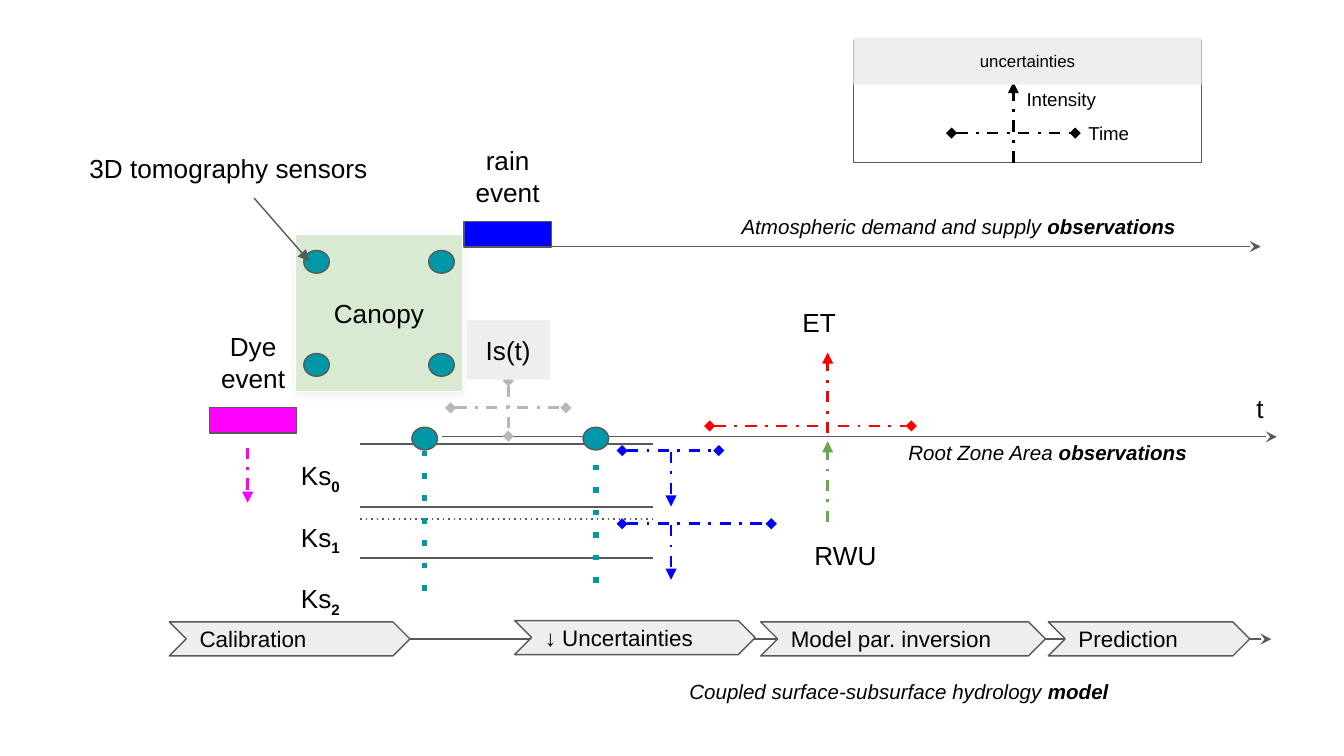
import pptx
import pptx.dml.color
import pptx.enum.shapes
import pptx.enum.text
import pptx.oxml
import pptx.oxml.ns
import pptx.util
from lxml import etree

Pt = pptx.util.Pt
RGB = pptx.dml.color.RGBColor
SHAPE = pptx.enum.shapes.MSO_SHAPE
ALIGN = pptx.enum.text.PP_ALIGN
ANCHOR = pptx.enum.text.MSO_ANCHOR
qn = pptx.oxml.ns.qn

BLACK = RGB(0x00, 0x00, 0x00)
WHITE = RGB(0xFF, 0xFF, 0xFF)
OUTLINE = RGB(0x59, 0x59, 0x59)
PANEL = RGB(0xEE, 0xEE, 0xEE)
STORAGE = RGB(0xB7, 0xB7, 0xB7)
BLUE = RGB(0x00, 0x00, 0xFF)
MAGENTA = RGB(0xFF, 0x00, 0xFF)
RED = RGB(0xFF, 0x00, 0x00)
UPTAKE = RGB(0x6A, 0xA8, 0x4F)
SENSOR = RGB(0x00, 0x97, 0xA7)
LEAF = RGB(0xD9, 0xEA, 0xD3)

SENSOR_W, SENSOR_H = 13.7, 12.2
EVENT_W, EVENT_H = 46.8, 13.7


def write(shape, runs, size, align=ALIGN.LEFT, anchor=ANCHOR.TOP):
    frame = shape.text_frame
    frame.word_wrap = True
    frame.vertical_anchor = anchor
    frame.margin_left = frame.margin_right = Pt(7.2)
    frame.margin_top = frame.margin_bottom = Pt(7.2)
    paragraph = frame.paragraphs[0]
    paragraph.alignment = align
    for words, style in runs:
        run = paragraph.add_run()
        run.text = words
        run.font.name = "Arial"
        run.font.size = Pt(size)
        run.font.color.rgb = BLACK
        run.font.italic = "i" in style
        run.font.bold = "b" in style
        if "sub" in style:
            run.font._element.set("baseline", "-25000")


def label(slide, left, top, width, height, runs, size=14, align=ALIGN.LEFT):
    box = slide.shapes.add_textbox(Pt(left), Pt(top), Pt(width), Pt(height))
    write(box, runs, size, align)


def block(slide, kind, left, top, width, height, fill=None, outline=OUTLINE):
    shape = slide.shapes.add_shape(kind, Pt(left), Pt(top), Pt(width), Pt(height))
    shape.shadow.inherit = False
    if fill is None:
        shape.fill.background()
    else:
        shape.fill.solid()
        shape.fill.fore_color.rgb = fill
    if outline is None:
        shape.line.fill.background()
    else:
        shape.line.color.rgb = outline
        shape.line.width = Pt(0.75)
    return shape


def line(slide, x1, y1, x2, y2, color=OUTLINE, width=0.75, dash=None, head=None, tail=None):
    connector = slide.shapes.add_connector(
        pptx.enum.shapes.MSO_CONNECTOR.STRAIGHT, Pt(x1), Pt(y1), Pt(x2), Pt(y2))
    connector.line.color.rgb = color
    connector.line.width = Pt(width)
    stroke = connector.line._get_or_add_ln()
    for tag, key, value in (("a:prstDash", "val", dash), ("a:headEnd", "type", head),
                            ("a:tailEnd", "type", tail)):
        if value:
            etree.SubElement(stroke, qn(tag)).set(key, value)
    etree.SubElement(connector._element.spPr, qn("a:effectLst"))


def time_range(slide, x1, x2, y, color):
    line(slide, x1, y, x2, y, color, 1.5, "dashDot", "diamond", "diamond")


def flux(slide, x, y1, y2, color):
    line(slide, x, y1, x, y2, color, 1.5, "dashDot", tail="triangle")


def sensor(slide, center_x, center_y):
    block(slide, SHAPE.OVAL, center_x - SENSOR_W / 2, center_y - SENSOR_H / 2,
          SENSOR_W, SENSOR_H, SENSOR)


def timeline(slide, left, top, width, caption_left, caption_top, caption_width, caption):
    line(slide, left, top, left + width, top, tail="stealth")
    topic, subject = caption
    label(slide, left + caption_left, top + caption_top, caption_width, 28,
          [(topic, "i"), (subject, "ib")], 11)


def event(slide, left, top, name, color):
    label(slide, left - 14, top, 74.9, 48.2, [(name, "")], align=ALIGN.CENTER)
    block(slide, SHAPE.RECTANGLE, left, top + 48.2, EVENT_W, EVENT_H, color)


def soil(slide, left, top, width):
    for depth in (0, 33.8, 61.2):
        line(slide, left, top + depth, left + width, top + depth)
    line(slide, left, top + 40.3, left + width, top + 40.3, dash="dot")
    for layer in range(3):
        label(slide, left - 38.9, top + 1.3 + layer * 32.9, 44.6, 31.7,
              [("Ks", ""), (str(layer), "sub")])
    for offset, probe_top in ((34.5, 3.6), (126.2, -0.8)):
        sensor(slide, left + offset, top - 2.8)
        line(slide, left + offset, top + probe_top, left + offset, top + probe_top + 82.1,
             SENSOR, 3, "dot")
    for depth, spread in ((3.6, 51.8), (42.8, 79.9)):
        time_range(slide, left + 140.3, left + 140.3 + spread, top + depth, BLUE)
        flux(slide, left + 166.5, top + depth + 0.6, top + depth + 30, BLUE)


def canopy(slide, left, top, width, height):
    crown = block(slide, SHAPE.RECTANGLE, left, top, width, height, LEAF, WHITE)
    effects = crown._element.spPr.find(qn("a:effectLst"))
    shadow = etree.SubElement(effects, qn("a:outerShdw"), blurRad=str(Pt(4.5)),
                              dist=str(Pt(1.5)), dir="5400000", algn="bl", rotWithShape="0")
    tint = etree.SubElement(shadow, qn("a:srgbClr"), val="000000")
    etree.SubElement(tint, qn("a:alpha"), val="5000")
    label(slide, left + 7.2, top + 26.6, width - 14.4, 31.7, [("Canopy", "")], align=ALIGN.CENTER)
    for x in (11.2, width - 11.2):
        for y in (14.8, height - 14.2):
            sensor(slide, left + x, top + y)
    label(slide, left - 154.1, top - 51.1, 236.2, 31.7, [("3D tomography sensors", "")],
          align=ALIGN.CENTER)
    line(slide, left - 22.3, top - 19.4, left + 7.2, top + 14.4, tail="triangle")


def storage(slide, left, top, width, height):
    center = left + width / 2
    line(slide, center, top + 32.4, center, top + 62, STORAGE, 1.5, "dashDot",
         "diamond", "diamond")
    time_range(slide, center - 30.9, center + 30.9, top + 46.8, STORAGE)
    panel = block(slide, SHAPE.RECTANGLE, left, top, width, height, PANEL, None)
    write(panel, [("Is(t)", "")], 14, ALIGN.CENTER)


def evapotranspiration(slide, left, top, width):
    center = left + 63.2
    label(slide, left + 42.6, top, 41, 31.7, [("ET", "")])
    flux(slide, center, top + 74.9, top + 31.7, RED)
    time_range(slide, left, left + width, top + 71, RED)
    flux(slide, center, top + 122.4, top + 79.2, UPTAKE)
    label(slide, left + 49, top + 124.6, 51.8, 31.7, [("RWU", "")])


def legend(slide, left, top, width, height):
    center = left + 85.7
    block(slide, SHAPE.RECTANGLE, left, top + 1.4, width, height - 1.4)
    label(slide, left + 118.8, top + 38.9, 104.4, 26, [("Time", "")], 10)
    time_range(slide, center - 33.1, center + 33.1, top + 51.1, BLACK)
    flux(slide, center, top + height, top + 23.8, BLACK)
    heading = block(slide, SHAPE.RECTANGLE, left, top, width, 25.2, PANEL, None)
    write(heading, [("uncertainties", "")], 9, ALIGN.CENTER)
    label(slide, center, top + 20.9, 74.9, 26.6, [("Intensity", "")], 10)


def model_steps(slide, left, top, height):
    steps = (("Calibration", 0, 0, 128.9), ("↓ Uncertainties", 185, -0.7, 128.9),
             ("Model par. inversion", 316.8, 0, 152.6), ("Prediction", 470.9, 0, 108))
    for name, x, y, width in steps:
        step = block(slide, SHAPE.CHEVRON, left + x, top + y, width, height, PANEL)
        write(step, [(name, "")], 12, anchor=ANCHOR.MIDDLE)


def main():
    deck = pptx.Presentation()
    deck.slide_width, deck.slide_height = Pt(720), Pt(405)
    slide = deck.slides.add_slide(deck.slide_layouts[6])
    timeline(slide, 236.9, 234, 447.1, 242.6, -5, 236.2, ("Root Zone Area ", "observations"))
    label(slide, 666, 203, 18, 31.7, [("t", "")])
    timeline(slide, 247.7, 132.1, 427.7, 142.5, -24.1, 275.8,
             ("Atmospheric demand and supply ", "observations"))
    timeline(slide, 193, 342.4, 488.1, 169.2, 14.7, 261.4,
             ("Coupled surface-subsurface hydrology ", "model"))
    event(slide, 248.5, 70.4, "rain event", BLUE)
    soil(slide, 193, 237.8, 157)
    evapotranspiration(slide, 380.2, 157.2, 108)
    canopy(slide, 158.4, 125.5, 89.3, 84.2)
    storage(slide, 250, 171.7, 44.6, 31.7)
    event(slide, 112.2, 170, "Dye event", MAGENTA)
    flux(slide, 132.7, 239.8, 269.3, MAGENTA)
    legend(slide, 457.2, 20.2, 186.5, 66.9)
    model_steps(slide, 90.7, 333.2, 18.2)
    deck.save("out.pptx")


if __name__ == "__main__":
    main()
